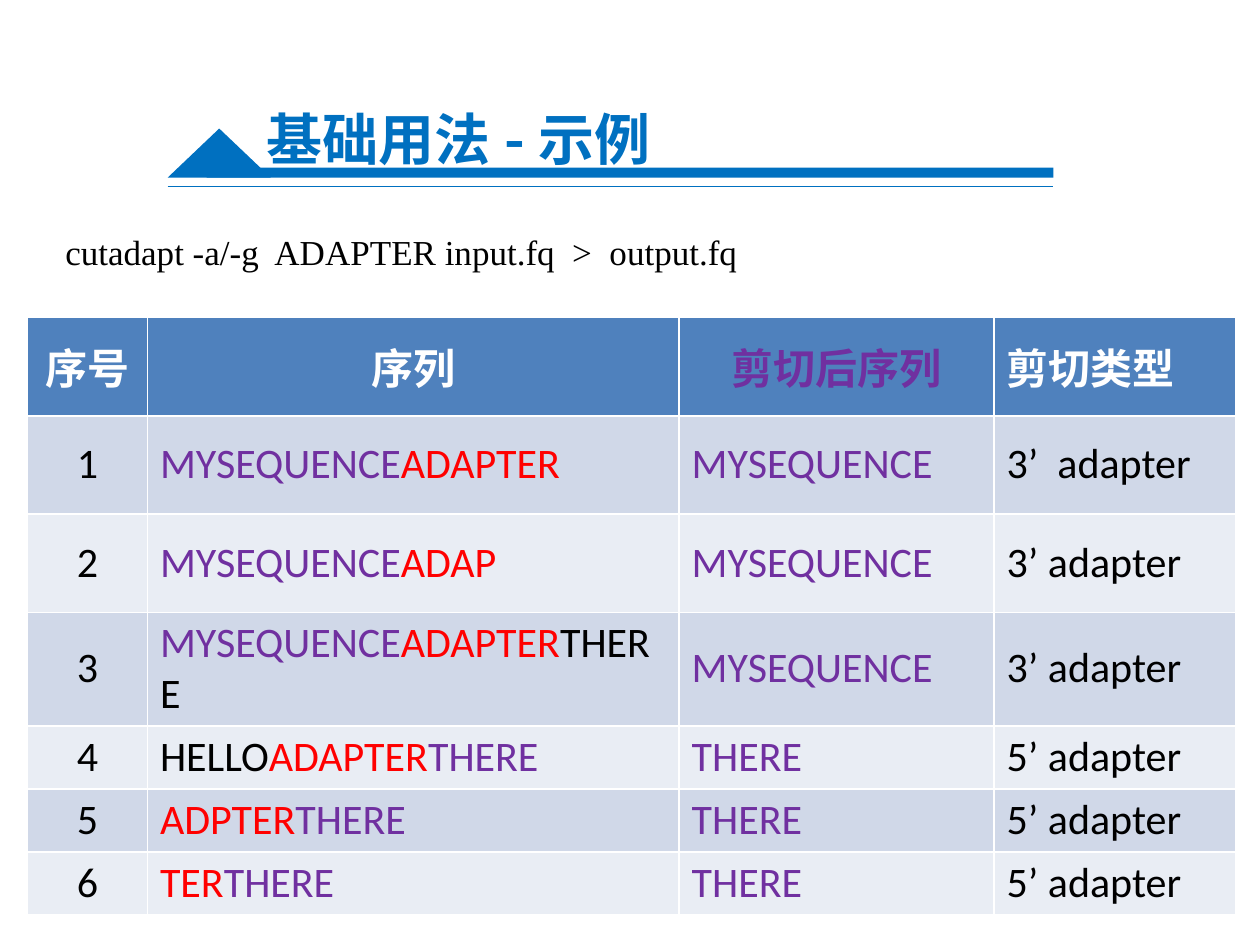
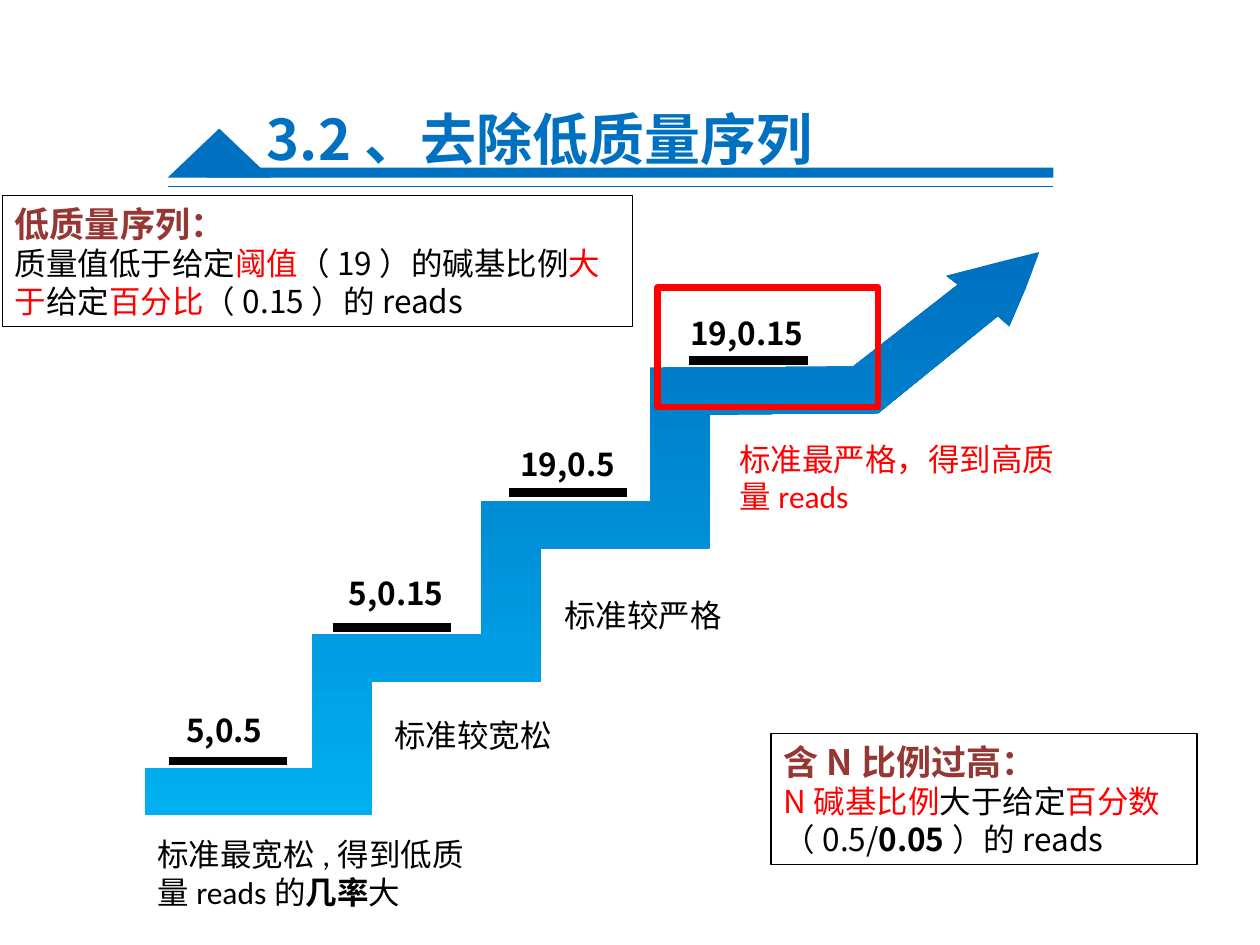
"""Build two slides on trimming adapters and filtering low-quality reads."""
from lxml import etree
from pptx import Presentation
from pptx import util as u
from pptx.dml.color import RGBColor
from pptx.enum import shapes, text
from pptx.oxml.ns import qn

BLUE = RGBColor(0x00, 0x70, 0xC0)
SKY = RGBColor(0x00, 0xB0, 0xF0)
HEAD = RGBColor(0x4F, 0x81, 0xBD)
BANDS = (RGBColor(0xD0, 0xD8, 0xE8), RGBColor(0xE9, 0xED, 0xF4))
PURPLE = RGBColor(0x70, 0x30, 0xA0)
RED = RGBColor(0xFF, 0x00, 0x00)
MAROON = RGBColor(0x95, 0x37, 0x35)
BLACK = RGBColor(0x00, 0x00, 0x00)
WHITE = RGBColor(0xFF, 0xFF, 0xFF)
SANS, BODY, SERIF = "Noto Sans CJK SC", "Calibri", "Times New Roman"

COMMAND = "cutadapt -a/-g  ADAPTER input.fq  >  output.fq"
HEADER = [("序号", WHITE), ("序列", WHITE), ("剪切后序列", PURPLE), ("剪切类型", WHITE)]
KEPT, END = ("MYSEQUENCE", PURPLE), ("THERE", PURPLE)
ADAPTER = ("ADAPTER", RED)
READS = [
    ([KEPT, ADAPTER], KEPT, "3’  adapter"),
    ([KEPT, ("ADAP", RED)], KEPT, "3’ adapter"),
    ([KEPT, ADAPTER, ("THERE", BLACK)], KEPT, "3’ adapter"),
    ([("HELLO", BLACK), ADAPTER, END], END, "5’ adapter"),
    ([("ADPTER", RED), END], END, "5’ adapter"),
    ([("TER", RED), END], END, "5’ adapter"),
]
COLUMNS = (0.95, 4.22, 2.5, 1.92)
TALL, SHORT, TALL_ROWS = 0.78, 0.46, 4

STEPS = [
    ("5,0.5", (1.38, 5.59, 0.92, 0.4), (1.34, 6.04)),
    ("5,0.15", (2.67, 4.51, 1.05, 0.4), (2.64, 4.98)),
    ("19,0.5", (4.03, 3.48, 1.17, 0.4), (4.04, 3.91)),
    ("19,0.15", (5.38, 2.44, 1.3, 0.4), (5.47, 2.86)),
]
BAR = 0.94
CAPTIONS = [
    ((5.77, 3.44, 2.78, 0.71), [("标准最严格，得到高质量reads", RED)]),
    ((4.38, 4.68, 2.73, 0.4), [("标准较严格", BLACK)]),
    ((3.03, 5.63, 2.7, 0.4), [("标准较宽松", BLACK)]),
    ((1.15, 6.58, 2.7, 0.71), [("标准最宽松,得到低质量reads的", BLACK),
                               ("几率", BLACK, True), ("大", BLACK)]),
]
CALLOUTS = [
    ((0.02, 1.55, 5, 1.04), "低质量序列：",
     [("质量值低于给定", BLACK), ("阈值", RED), ("（19）的碱基比例", BLACK), ("大于", RED),
      ("给定", BLACK), ("百分比", RED), ("（0.15）的reads", BLACK)]),
    ((6.12, 5.82, 3.38, 1.04), "含N比例过高：",
     [("N碱基比例", RED), ("大于给定", BLACK), ("百分数", RED), ("（0.5/", BLACK),
      ("0.05", BLACK, True), ("）的reads", BLACK)]),
]
STAIR_LEFT, STAIR_X, STAIR_Y = 1.15, 2.48, 6.1
RUN, RISE, COUNT = 1.34, 1.06, 3
THICK_X, THICK_Y = 0.47, 0.37
ARROW = [(6.77, 2.91), (7.6, 2.26), (7.51, 2.19), (7.89, 2.09), (8.25, 2),
         (8.14, 2.29), (8.01, 2.59), (7.92, 2.51), (6.97, 3.28)]


def inches(values):
    return [u.Inches(v) for v in values]


def write(p, runs, size, font, align=text.PP_ALIGN.LEFT, fixed=True):
    p.alignment = align
    if fixed:
        p.line_spacing = u.Pt(size * 1.2)
    for words, color, *bold in runs:
        r = p.add_run()
        r.text = words
        r.font.size, r.font.name, r.font.bold = u.Pt(size), font, bool(bold)
        r.font.color.rgb = color
        ea = etree.SubElement(r.font._element, qn("a:ea"))
        ea.set("typeface", SANS if font == BODY else font)


def add_text(s, box, runs, size, font):
    tf = s.shapes.add_textbox(*inches(box)).text_frame
    tf.word_wrap = True
    write(tf.paragraphs[0], runs, size, font)


def add_box(s, kind, box, fill=None, line=None, width=0.75):
    sp = s.shapes.add_shape(kind, *inches(box))
    sp.shadow.inherit = False
    if fill is None:
        sp.fill.background()
    else:
        sp.fill.solid()
        sp.fill.fore_color.rgb = fill
    if line is None:
        sp.line.fill.background()
    else:
        sp.line.color.rgb, sp.line.width = line, u.Pt(width)
    return sp


def add_rule(s, x, y, length, color, width):
    line = s.shapes.add_connector(shapes.MSO_CONNECTOR.STRAIGHT,
                                  *inches((x, y, x + length, y)))
    line.line.color.rgb, line.line.width = color, u.Pt(width)
    etree.SubElement(line._element.spPr, qn("a:effectLst"))


def add_slide(prs, title):
    s = prs.slides.add_slide(prs.slide_layouts[6])
    add_rule(s, 1.33, 1.48, 7.03, BLUE, 0.75)
    add_box(s, shapes.MSO_SHAPE.RECTANGLE, (1.64, 1.33, 6.72, 0.08), BLUE)
    add_box(s, shapes.MSO_SHAPE.ISOSCELES_TRIANGLE, (1.33, 1.02, 0.82, 0.39), BLUE)
    add_text(s, (2.02, 0.78, 6.39, 0.64), [(title, BLUE, True)], 32, SANS)
    return s


def fill_cell(cell, runs, fill, centred, fixed=True):
    cell.fill.solid()
    cell.fill.fore_color.rgb = fill
    cell.vertical_anchor = text.MSO_ANCHOR.MIDDLE
    align = text.PP_ALIGN.CENTER if centred else text.PP_ALIGN.LEFT
    write(cell.text_frame.paragraphs[0], runs, 24, BODY, align, fixed)


def add_reads_table(s):
    heights = [TALL if i < TALL_ROWS else SHORT for i in range(len(READS) + 1)]
    box = inches((0.22, 2.52, sum(COLUMNS), sum(heights)))
    table = s.shapes.add_table(len(heights), len(COLUMNS), *box).table
    for column, width in zip(table.columns, COLUMNS):
        column.width = u.Inches(width)
    for row, height in zip(table.rows, heights):
        row.height = u.Inches(height)
    for c, (words, color) in enumerate(HEADER):
        fill_cell(table.cell(0, c), [(words, color, True)], HEAD, c < 3, fixed=False)
    for n, (read, trimmed, kind) in enumerate(READS, 1):
        row = [[(str(n), BLACK)], read, [trimmed], [(kind, BLACK)]]
        for c, runs in enumerate(row):
            fill_cell(table.cell(n, c), runs, BANDS[(n - 1) % 2], c == 0)


def add_stairs(s):
    top = []
    for i in range(COUNT):
        x, y = STAIR_X + RUN * i, STAIR_Y - RISE * i
        top += [(x, y), (x, y - RISE)]
    under = [(x + THICK_X, y + THICK_Y) for x, y in reversed(top)]
    points = top + ARROW + under + [(STAIR_LEFT, STAIR_Y + THICK_Y)]
    builder = s.shapes.build_freeform(*inches((STAIR_LEFT, STAIR_Y)))
    builder.add_line_segments([inches(point) for point in points], close=True)
    sp = builder.convert_to_shape()
    sp.shadow.inherit = False
    sp.line.fill.background()
    sp.fill.gradient()
    sp.fill.gradient_angle = 270
    for stop, color, place in zip(sp.fill.gradient_stops, (BLUE, SKY), (0, 1)):
        stop.color.rgb, stop.position = color, place


def add_callout(s, box, heading, runs):
    tf = add_box(s, shapes.MSO_SHAPE.RECTANGLE, box, line=BLACK).text_frame
    tf.word_wrap = True
    tf.vertical_anchor = text.MSO_ANCHOR.MIDDLE
    write(tf.paragraphs[0], [(heading, MAROON, True)], 20, SANS)
    write(tf.add_paragraph(), runs, 18, SANS)


def main():
    prs = Presentation()
    prs.slide_width, prs.slide_height = inches((10, 7.5))

    s = add_slide(prs, "基础用法-示例")
    add_text(s, (0.42, 1.78, 6.99, 0.44), [(COMMAND, BLACK)], 20, SERIF)
    add_reads_table(s)

    s = add_slide(prs, "3.2、去除低质量序列")
    add_stairs(s)
    for label, box, (x, y) in STEPS:
        add_text(s, box, [(label, BLACK, True)], 18, SANS)
        add_rule(s, x, y, BAR, BLACK, 5)
    for box, runs in CAPTIONS:
        add_text(s, box, runs, 18, BODY)
    add_box(s, shapes.MSO_SHAPE.RECTANGLE, (5.22, 2.28, 1.75, 0.95), line=RED, width=3.75)
    for callout in CALLOUTS:
        add_callout(s, *callout)

    prs.save("out.pptx")


if __name__ == "__main__":
    main()
